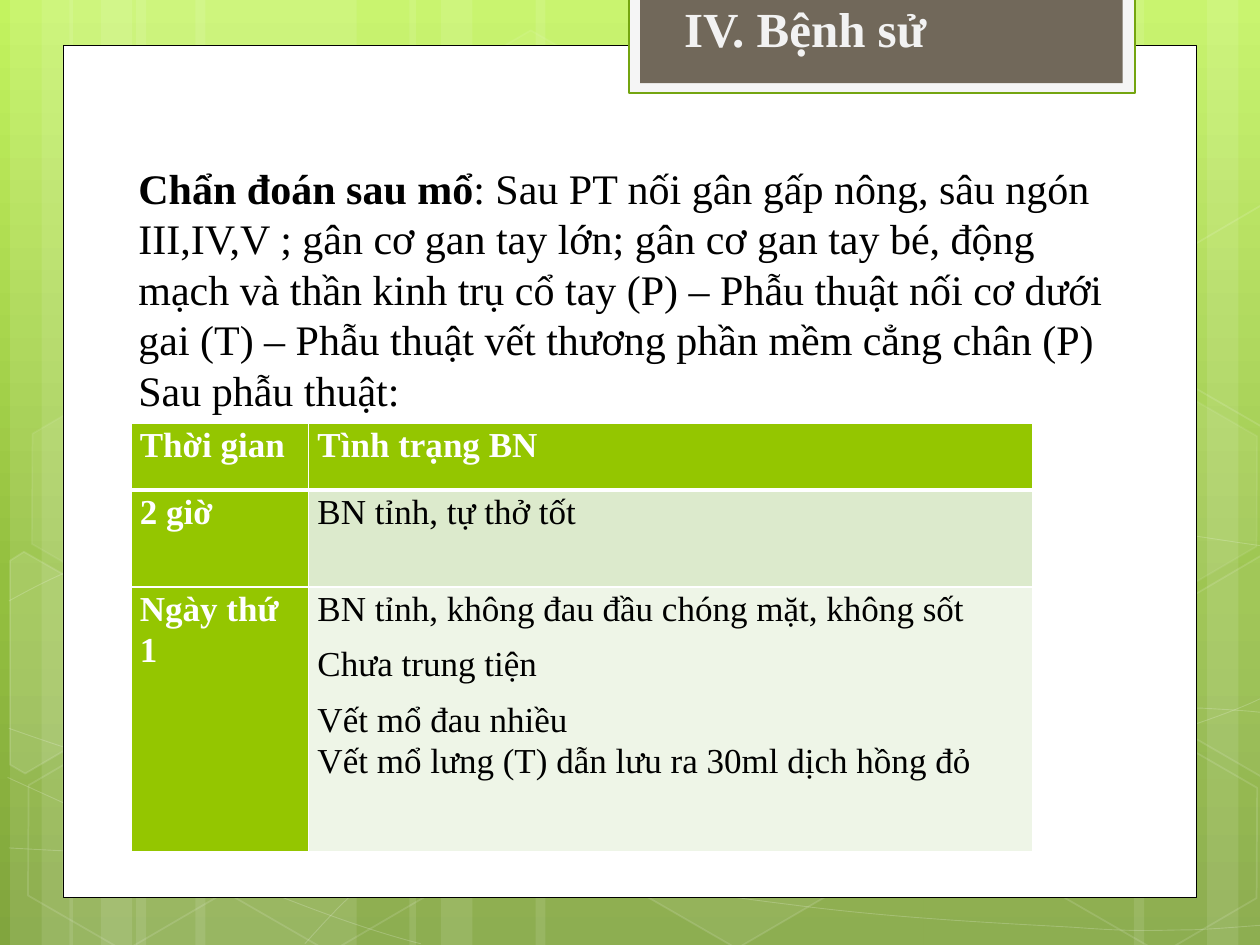
"""Builds the medical history slide with post-operative diagnosis and follow-up table."""
from dataclasses import dataclass
from typing import Optional

import pptx
import pptx.dml.color
import pptx.enum.shapes
import pptx.enum.text
import pptx.oxml
import pptx.oxml.ns
import pptx.util

PX = 9144
SLIDE_SIZE = (1000, 750)
qn = pptx.oxml.ns.qn
ANCHOR = pptx.enum.text.MSO_ANCHOR
PRESET = pptx.enum.shapes.MSO_SHAPE


@dataclass(frozen=True)
class Theme:
    font: str = "Times New Roman"
    white: str = "FFFFFF"
    black: str = "000000"
    tab: str = "F5F5F5"
    tab_line: str = "74A510"
    tab_inner: str = "71685A"
    title: str = "F2F2F2"
    accent: str = "94C600"
    bands: tuple = ("DCEACC", "EEF5E7")
    background: tuple = ((0, "C3F35F"), (62, "93BF3F"), (100, "81A53E"))
    title_size: int = 28
    body_size: int = 24
    table_size: int = 20


@dataclass(frozen=True)
class Box:
    left: int
    top: int
    width: int
    height: int

    def emu(self) -> tuple:
        return tuple(px(v) for v in (self.left, self.top, self.width, self.height))


@dataclass(frozen=True)
class Paint:
    fill: Optional[str] = None
    fill_alpha: int = 100
    line: Optional[str] = None
    line_width: float = 1
    line_alpha: int = 100


@dataclass(frozen=True)
class Hexagon:
    left: int
    top: int
    fill_alpha: int
    line_alpha: int


@dataclass(frozen=True)
class Polygon:
    points: tuple
    fill_alpha: int


THEME = Theme()
STRIPS = ((108, 175), (8, 50), (33, 83), (155, 175), (55, 50), (80, 83),
          (733, 175), (958, 50), (900, 83), (425, 308), (325, 50), (350, 83))
CURVES = (
    ((7, 673), (61, 676), (115, 679), (190, 678), (265, 677), (358, 675), (458, 665),
     (558, 655), (700, 636), (792, 617), (883, 598), (977, 568), (1007, 551)),
    ((7, 477), (36, 461), (65, 446), (121, 431), (178, 416), (259, 394), (347, 387),
     (436, 380), (544, 379), (654, 387), (764, 395), (947, 426), (1007, 434)),
    ((6, 617), (127, 672), (247, 727), (334, 749)),
    ((7, 578), (38, 589), (70, 600), (128, 616), (186, 631), (273, 656), (357, 673),
     (440, 690), (545, 708), (628, 718), (711, 729), (800, 733), (853, 736),
     (905, 740), (919, 738), (945, 738), (971, 737), (989, 735), (1007, 734)),
    ((242, 749), (260, 729), (278, 709), (302, 691), (326, 673), (360, 653), (388, 639),
     (416, 625), (433, 619), (470, 609), (506, 599), (573, 585), (608, 578),
     (644, 571), (649, 571), (680, 569), (711, 566), (760, 563), (794, 562),
     (829, 561), (886, 562), (886, 562), (908, 562), (931, 562), (953, 562),
     (971, 563), (988, 564), (997, 565), (1006, 566), (1003, 565), (1006, 566)),
)
HEXAGONS = (Hexagon(334, 36, 4, 8), Hexagon(497, 589, 6, 12), Hexagon(11, 591, 0, 12),
            Hexagon(14, 312, 7, 8), Hexagon(174, 592, 0, 12), Hexagon(753, 453, 10, 12),
            Hexagon(834, 593, 0, 12), Hexagon(834, 314, 7, 8))
POLYGONS = (
    Polygon(((8, 445), (19, 438), (96, 482), (95, 570), (20, 614), (8, 607)), 10),
    Polygon(((926, 485), (1001, 441), (1009, 446), (1009, 613), (1002, 617), (926, 573)), 4),
    Polygon(((926, 207), (1001, 163), (1010, 168), (1009, 335), (1002, 339), (926, 295)), 0),
)
TITLE = "IV. Bệnh sử"
BODY = (
    (("Chẩn đoán sau mổ", True),
     (": Sau PT nối gân gấp nông, sâu ngón III,IV,V ; gân cơ gan tay lớn; gân cơ gan tay bé, "
      "động mạch và thần kinh trụ cổ tay (P) – Phẫu thuật nối cơ dưới gai (T) – "
      "Phẫu thuật vết thương phần mềm cẳng chân (P)", False)),
    (("Sau phẫu thuật:", False),),
)
TABLE_ROWS = (
    ("Thời gian", ("Tình trạng BN",)),
    ("2 giờ", ("BN tỉnh, tự thở tốt",)),
    ("Ngày thứ 1", ("BN tỉnh, không đau đầu chóng mặt, không sốt", "Chưa trung tiện",
                    "Vết mổ đau nhiều \nVết mổ lưng (T) dẫn lưu ra 30ml dịch hồng đỏ")),
)
COLUMN_WIDTHS = (141, 575)
ROW_HEIGHTS = (53, 77, 210)


def px(value: float) -> int:
    return round(value * PX)


def rgb(color: str):
    return pptx.dml.color.RGBColor.from_string(color)


def set_color(fill, holder, color: str, alpha: int) -> None:
    fill.solid()
    fill.fore_color.rgb = rgb(color)
    if alpha < 100:
        node = holder.find(qn("a:solidFill")).find(qn("a:srgbClr"))
        node.append(pptx.oxml.parse_xml(
            f'<a:alpha {pptx.oxml.ns.nsdecls("a")} val="{alpha * 1000}"/>'))


def paint_shape(shape, paint: Paint) -> None:
    shape.shadow.inherit = False
    properties = shape._element.spPr
    if paint.fill and paint.fill_alpha:
        set_color(shape.fill, properties, paint.fill, paint.fill_alpha)
    else:
        shape.fill.background()
    if paint.line:
        shape.line.width = pptx.util.Pt(paint.line_width)
        set_color(shape.line.fill, properties.find(qn("a:ln")), paint.line, paint.line_alpha)
    else:
        shape.line.fill.background()


def draw_preset(slide, preset, box: Box, paint: Paint):
    shape = slide.shapes.add_shape(preset, *box.emu())
    paint_shape(shape, paint)
    return shape


def draw_outline(slide, points, paint: Paint, curved: bool = False) -> None:
    start, *rest = [(px(x), px(y)) for x, y in points]
    builder = slide.shapes.build_freeform(*start)
    builder.add_line_segments(rest, close=not curved)
    shape = builder.convert_to_shape()
    paint_shape(shape, paint)
    if curved:
        bend_segments(shape)


def bend_segments(shape) -> None:
    outline = shape._element.find(".//" + qn("a:pathLst"))[0]
    segments = outline.findall(qn("a:lnTo"))
    for first in range(0, len(segments), 3):
        curve = pptx.oxml.parse_xml(f'<a:cubicBezTo {pptx.oxml.ns.nsdecls("a")}/>')
        for segment in segments[first:first + 3]:
            curve.append(segment[0])
            outline.remove(segment)
        outline.append(curve)


def write_text(frame, paragraphs, *, size: int, color: str, anchor=ANCHOR.TOP,
               line_spacing=None, space_after=None) -> None:
    frame.word_wrap = True
    frame.vertical_anchor = anchor
    for index, pieces in enumerate(paragraphs):
        paragraph = frame.add_paragraph() if index else frame.paragraphs[0]
        paragraph.alignment = pptx.enum.text.PP_ALIGN.LEFT
        paragraph.line_spacing = line_spacing
        if space_after is not None:
            paragraph.space_after = pptx.util.Pt(space_after)
        for text, bold in pieces:
            for number, line in enumerate(text.split("\n")):
                if number:
                    paragraph.add_line_break()
                run = paragraph.add_run()
                run.text = line
                run.font.name, run.font.bold = THEME.font, bold
                run.font.size = pptx.util.Pt(size)
                run.font.color.rgb = rgb(color)


def set_borders(cell, top: int, bottom: int) -> None:
    widths = {"lnL": 1, "lnR": 1, "lnT": top, "lnB": bottom}
    for index, (tag, width) in enumerate(widths.items()):
        cell._tc.get_or_add_tcPr().insert(index, pptx.oxml.parse_xml(
            f'<a:{tag} {pptx.oxml.ns.nsdecls("a")} w="{pptx.util.Pt(width)}"><a:solidFill>'
            f'<a:srgbClr val="{THEME.white}"/></a:solidFill></a:{tag}>'))


def draw_table(slide) -> None:
    box = Box(104, 336, sum(COLUMN_WIDTHS), sum(ROW_HEIGHTS))
    table = slide.shapes.add_table(len(TABLE_ROWS), len(COLUMN_WIDTHS), *box.emu()).table
    for column, width in zip(table.columns, COLUMN_WIDTHS):
        column.width = px(width)
    for r, (label, details) in enumerate(TABLE_ROWS):
        table.rows[r].height = px(ROW_HEIGHTS[r])
        for c, lines in enumerate(((label,), details)):
            cell, heading = table.cell(r, c), r == 0 or c == 0
            cell.margin_left = cell.margin_right = px(7)
            cell.margin_top = cell.margin_bottom = 0
            cell.fill.solid()
            cell.fill.fore_color.rgb = rgb(THEME.accent if heading else THEME.bands[r - 1])
            set_borders(cell, top=3 if r == 1 else 1, bottom=3 if r == 0 else 1)
            write_text(cell.text_frame, [[(line, heading)] for line in lines],
                       size=THEME.table_size, color=THEME.white if heading else THEME.black,
                       line_spacing=1.07, space_after=8)


def draw_background(slide) -> None:
    fill = slide.background.fill
    fill.gradient()
    fill.gradient_angle = 270
    stops = slide._element.find(".//" + qn("a:gsLst"))
    stops.clear()
    for position, color in THEME.background:
        stops.append(pptx.oxml.parse_xml(
            f'<a:gs {pptx.oxml.ns.nsdecls("a")} pos="{position * 1000}">'
            f'<a:srgbClr val="{color}"/></a:gs>'))
    white = THEME.white
    for left, width in STRIPS:
        draw_preset(slide, PRESET.RECTANGLE, Box(left, 0, width, SLIDE_SIZE[1]), Paint(white, 10))
    for controls in CURVES:
        draw_outline(slide, controls, Paint(None, 0, white, 0.5, 20), curved=True)
    for item in HEXAGONS:
        shape = draw_preset(slide, PRESET.HEXAGON, Box(item.left, item.top, 175, 152),
                            Paint(white, item.fill_alpha, white, 1, item.line_alpha))
        shape.adjustments[0] = 0.285
        shape.rotation = 30
    for polygon in POLYGONS:
        draw_outline(slide, polygon.points, Paint(white, polygon.fill_alpha, white, 1, 12))


def main() -> None:
    presentation = pptx.Presentation()
    presentation.slide_width, presentation.slide_height = map(px, SLIDE_SIZE)
    slide = presentation.slides.add_slide(presentation.slide_layouts[5])
    draw_background(slide)
    for box, paint in (
            (Box(50, 36, 900, 676), Paint(THEME.white, line=THEME.black, line_width=0.5)),
            (Box(499, -2, 402, 76), Paint(THEME.tab, line=THEME.tab_line, line_width=1.25)),
            (Box(508, -2, 383, 68), Paint(THEME.tab_inner))):
        draw_preset(slide, PRESET.RECTANGLE, box, paint)
    draw_table(slide)
    title = slide.shapes.title
    slide.shapes._spTree.append(title._element)
    title.left, title.top, title.width, title.height = Box(533, -6, 505, 57).emu()
    title.text_frame.auto_size = pptx.enum.text.MSO_AUTO_SIZE.SHAPE_TO_FIT_TEXT
    write_text(title.text_frame, [[(TITLE, True)]], size=THEME.title_size, color=THEME.title)
    body = slide.shapes.add_textbox(*Box(100, 123, 808, 212).emu())
    write_text(body.text_frame, BODY, size=THEME.body_size, color=THEME.black, anchor=ANCHOR.MIDDLE)
    presentation.save("out.pptx")


if __name__ == "__main__":
    main()
